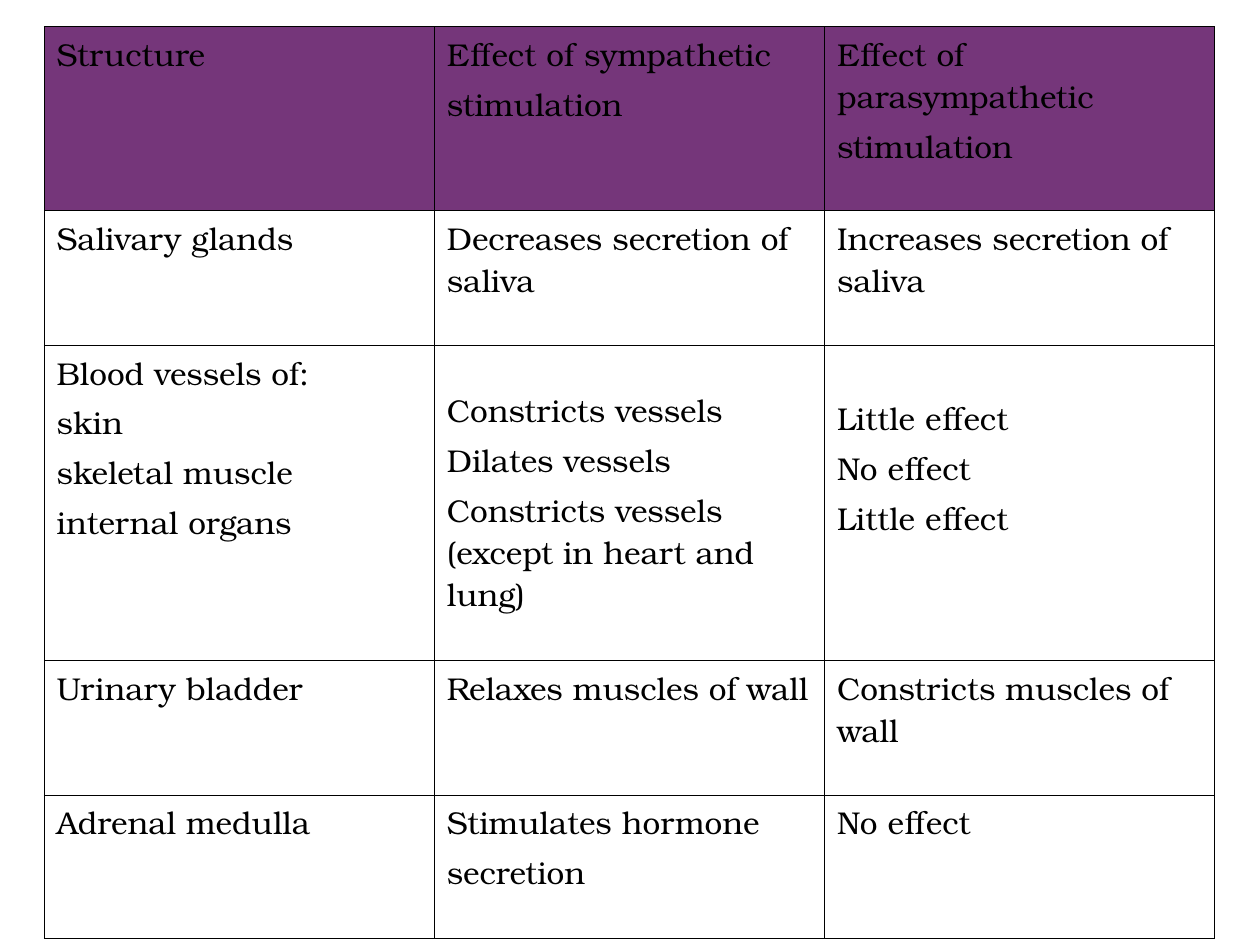
from lxml import etree
from pptx import Presentation
from pptx.dml.color import RGBColor
from pptx.oxml.ns import qn
from pptx.util import Inches, Pt

COLORS = {"header": "75367A", "ink": "000000"}
FONT = "TeX Gyre Bonum"
BLANK_LAYOUT = 6
BORDER_SIDES = ("a:lnL", "a:lnR", "a:lnT", "a:lnB")

ROW_HEIGHTS = (1.46, 1.07, 2.5, 1.07, 1.14)
# Each cell is a list of paragraphs
ROWS = [
    [["Structure"],
     ["Effect of sympathetic", "stimulation"],
     ["Effect of parasympathetic", "stimulation"]],
    [["Salivary glands"],
     ["Decreases secretion of saliva"],
     ["Increases secretion of saliva"]],
    [["Blood vessels of:", "skin", "skeletal muscle", "internal organs"],
     ["Constricts vessels", "Dilates vessels",
      "Constricts vessels (except in heart and lung)"],
     ["Little effect", "No effect", "Little effect"]],
    [["Urinary bladder"],
     ["Relaxes muscles of wall"],
     ["Constricts muscles of wall"]],
    [["Adrenal medulla"],
     ["Stimulates hormone", "secretion"],
     ["No effect"]],
]
# Cells whose text starts below the heading of their row
TOP_MARGINS = {(2, 1): 0.35, (2, 2): 0.41}


def add_borders(cell):
    properties = cell._tc.get_or_add_tcPr()
    for index, side in enumerate(BORDER_SIDES):
        line = etree.Element(qn(side), w=str(Pt(0.45)))
        fill = etree.SubElement(line, qn("a:solidFill"))
        etree.SubElement(fill, qn("a:srgbClr"), val=COLORS["ink"])
        properties.insert(index, line)


def fill_cell(cell, paragraphs, is_header, top_margin):
    cell.margin_left = cell.margin_right = Inches(0.1)
    cell.margin_top, cell.margin_bottom = Inches(top_margin), Inches(0.05)
    if is_header:
        cell.fill.solid()
        cell.fill.fore_color.rgb = RGBColor.from_string(COLORS["header"])
    else:
        cell.fill.background()
    add_borders(cell)

    cell.text_frame.text = "\n".join(paragraphs)
    for index, para in enumerate(cell.text_frame.paragraphs):
        if index:
            para.space_before = Pt(4.5)
        for span in para.runs:
            span.font.name = FONT
            span.font.size = Pt(18)
            span.font.bold = False
            span.font.color.rgb = RGBColor.from_string(COLORS["ink"])


def add_effects_table(page, left, top, width):
    frame = page.shapes.add_table(
        len(ROWS), len(ROWS[0]), Inches(left), Inches(top),
        Inches(width), Inches(sum(ROW_HEIGHTS)))
    table = frame.table
    table.horz_banding = False
    for column in table.columns:
        column.width = Inches(width / len(ROWS[0]))
    for row_index, row in enumerate(ROWS):
        table.rows[row_index].height = Inches(ROW_HEIGHTS[row_index])
        for column_index, paragraphs in enumerate(row):
            fill_cell(table.cell(row_index, column_index), paragraphs,
                      row_index == 0,
                      TOP_MARGINS.get((row_index, column_index), 0.05))


def main():
    deck = Presentation()
    deck.slide_width, deck.slide_height = Inches(10), Inches(7.5)
    page = deck.slides.add_slide(deck.slide_layouts[BLANK_LAYOUT])
    add_effects_table(page, 0.35, 0.21, 9.29)
    deck.save("out.pptx")


if __name__ == "__main__":
    main()
